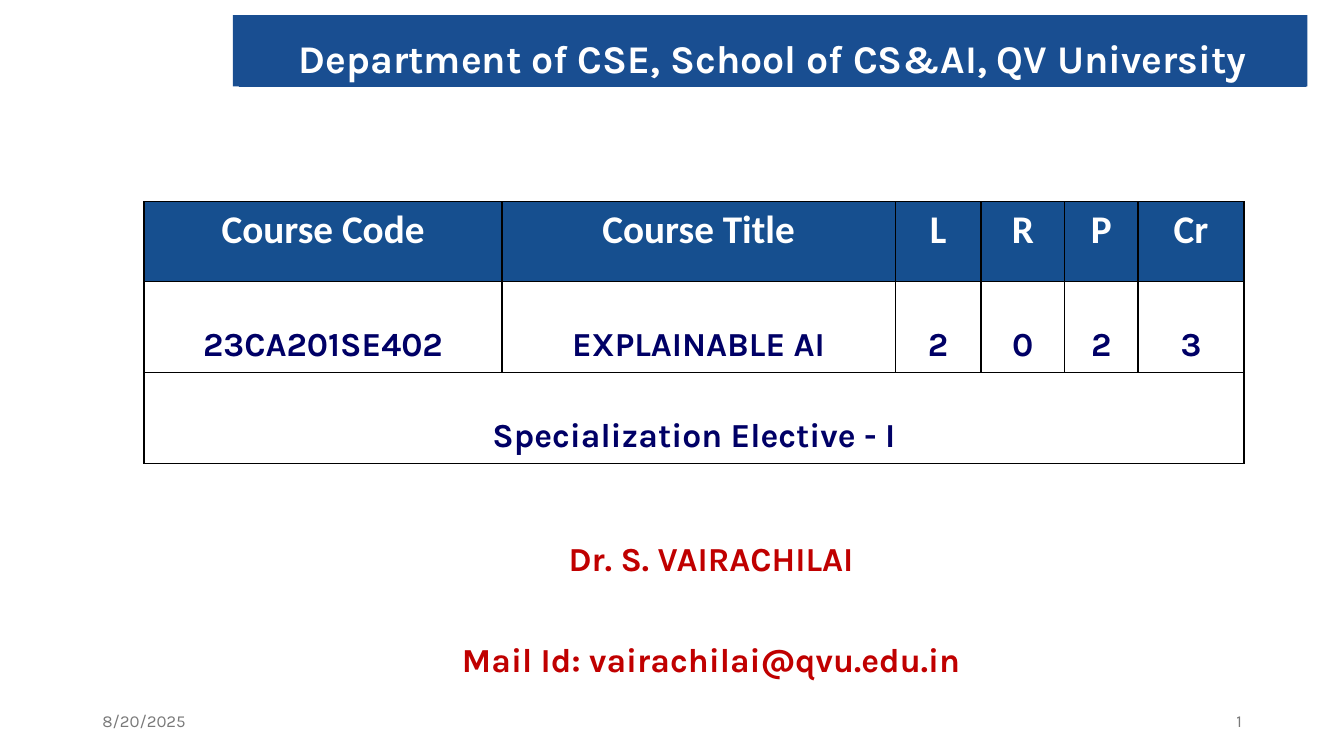
"""Build the opening slide of the Explainable AI course."""
from lxml.etree import SubElement
from pptx import Presentation
from pptx.dml.color import RGBColor
from pptx.enum.shapes import MSO_SHAPE
from pptx.enum.text import MSO_ANCHOR, MSO_AUTO_SIZE, PP_ALIGN
from pptx.oxml.ns import qn
from pptx.util import Cm, Pt


def paint(fill, color):
    fill.solid()
    fill.fore_color.rgb = RGBColor.from_string(color)


def write(frame, text, size=24, color="000066", font="Karla", bold=True,
          align=PP_ALIGN.CENTER, spacing=1.0, anchor=MSO_ANCHOR.TOP):
    frame.word_wrap = True
    frame.vertical_anchor = anchor
    frame.text = text
    for paragraph in frame.paragraphs:
        paragraph.alignment = align
        paragraph.line_spacing = spacing
        run_font = paragraph.runs[0].font
        run_font.name, run_font.size, run_font.bold = font, Pt(size), bold
        paint(run_font.fill, color)


presentation = Presentation()
presentation.slide_width, presentation.slide_height = Cm(33.87), Cm(19.05)
slide = presentation.slides.add_slide(presentation.slide_layouts[5])

title = slide.shapes.title
title.left, title.top, title.width, title.height = Cm(6.02), Cm(0.74), Cm(26.9), Cm(1.45)
paint(title.fill, "194E91")
write(title.text_frame, "Department of CSE, School of CS&AI, QV University",
      size=28, color="FFFFFF")
title.text_frame.auto_size = MSO_AUTO_SIZE.NONE

band = slide.shapes.add_shape(MSO_SHAPE.RECTANGLE, Cm(5.87), Cm(0.38), Cm(27.08), Cm(1.8))
band.shadow.inherit = False
band.line.fill.background()
paint(band.fill, "194E91")
title.element.addprevious(band.element)

footers = [(2.33, "8/20/2025", PP_ALIGN.LEFT), (23.93, "1", PP_ALIGN.RIGHT)]
for left, text, align in footers:
    footer = slide.shapes.add_textbox(Cm(left), Cm(17.65), Cm(7.62), Cm(1.02))
    write(footer.text_frame, text, size=12, color="797979", bold=False,
          align=align, anchor=MSO_ANCHOR.MIDDLE)

contact = slide.shapes.add_textbox(Cm(8.89), Cm(11.91), Cm(18.06), Cm(5.38))
write(contact.text_frame, "Dr. S. VAIRACHILAI\nMail Id: vairachilai@qvu.edu.in",
      color="C00000", spacing=2.5)

column_widths = [9.02, 9.91, 2.16, 2.11, 1.85, 2.67]
row_heights = [2.01, 2.3, 2.28]
course_rows = [
    ["Course Code", "Course Title", "L", "R", "P", "Cr"],
    ["23CA201SE402", "EXPLAINABLE AI", "2", "0", "2", "3"],
    ["Specialization Elective - I"],
]
table = slide.shapes.add_table(len(row_heights), len(column_widths), Cm(3.63), Cm(5.08),
                               Cm(sum(column_widths)), Cm(sum(row_heights))).table
for column, width in zip(table.columns, column_widths):
    column.width = Cm(width)
for row, height in zip(table.rows, row_heights):
    row.height = Cm(height)
table.cell(2, 0).merge(table.cell(2, 5))

for row_index, row in enumerate(table.rows):
    for cell in row.cells:
        properties = cell._tc.get_or_add_tcPr()
        for side in ("a:lnL", "a:lnR", "a:lnT", "a:lnB"):
            border = SubElement(properties, qn(side), w=str(Pt(1)))
            border_fill = SubElement(border, qn("a:solidFill"))
            SubElement(border_fill, qn("a:srgbClr"), val="000000")
        paint(cell.fill, "FFFFFF" if row_index else "164F8F")
    for cell, text in zip(row.cells, course_rows[row_index]):
        if row_index == 0:
            write(cell.text_frame, text, size=28, color="FFFFFF", font="Calibri")
        else:
            write(cell.text_frame, text, spacing=2.0)

presentation.save("out.pptx")
